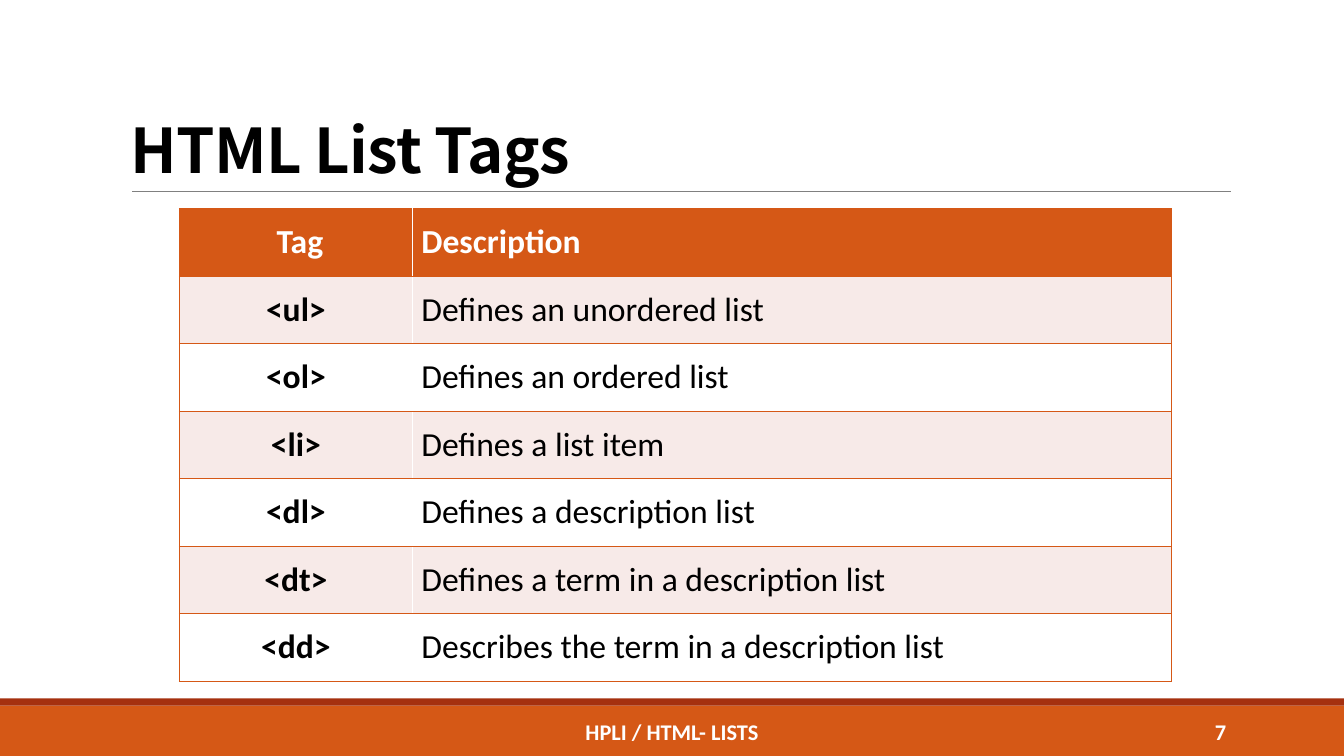
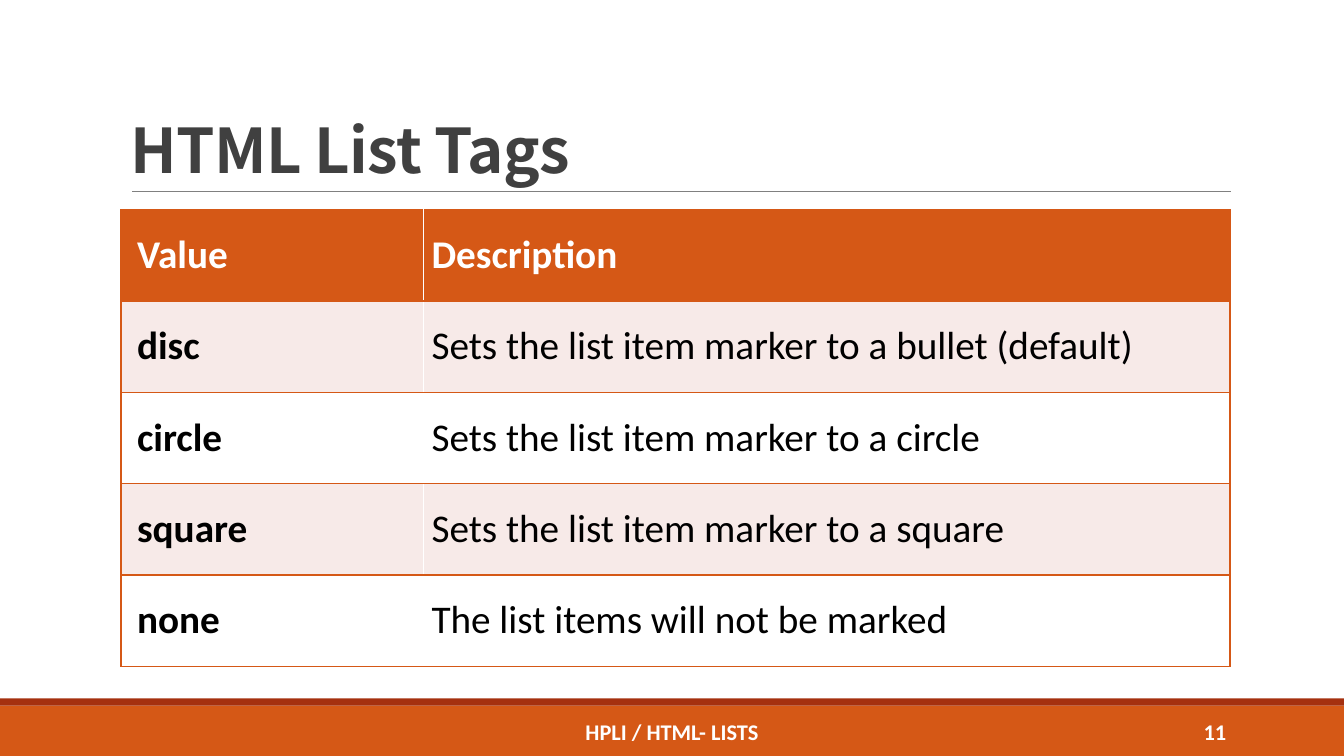
from lxml import etree
from pptx import Presentation
from pptx.dml.color import RGBColor
from pptx.enum.shapes import MSO_CONNECTOR, MSO_SHAPE
from pptx.enum.text import MSO_ANCHOR, PP_ALIGN
from pptx.oxml.ns import qn
from pptx.util import Inches, Pt

RECT, STRAIGHT = MSO_SHAPE.RECTANGLE, MSO_CONNECTOR.STRAIGHT
MIDDLE, BOTTOM = MSO_ANCHOR.MIDDLE, MSO_ANCHOR.BOTTOM
LEFT, CENTER, RIGHT = PP_ALIGN.LEFT, PP_ALIGN.CENTER, PP_ALIGN.RIGHT

ORANGE = RGBColor(0xD5, 0x58, 0x16)
RUST = RGBColor(0xA5, 0x30, 0x0F)
PINK = RGBColor(0xF7, 0xEA, 0xE8)
WHITE = RGBColor(0xFF, 0xFF, 0xFF)
BLACK = RGBColor(0, 0, 0)
DARK = RGBColor(0x40, 0x40, 0x40)
GRAY = RGBColor(0x80, 0x80, 0x80)
TITLE_FONT, BODY_FONT = "Noto Sans CJK SC", "Calibri"

SLIDES = [
    {
        "number": "7", "title_color": BLACK, "size": 24,
        "at": (1.78, 2.07), "cols": (2.31, 7.53), "row": 0.67,
        "align": CENTER, "pad": 0.09, "header_left": 0.17, "tag_pad": 0.01, "tag_left": 0.01,
        "rows": [
            ("Tag", "Description"),
            ("<ul>", "Defines an unordered list"),
            ("<ol>", "Defines an ordered list"),
            ("<li>", "Defines a list item"),
            ("<dl>", "Defines a description list"),
            ("<dt>", "Defines a term in a description list"),
            ("<dd>", "Describes the term in a description list"),
        ],
    },
    {
        "number": "11", "title_color": DARK, "size": 28,
        "at": (1.2, 2.08), "cols": (3, 8), "row": 0.906,
        "align": LEFT, "pad": 0.08, "header_left": 0.16, "tag_pad": 0.08, "tag_left": 0.16,
        "rows": [
            ("Value", "Description"),
            ("disc", "Sets the list item marker to a bullet (default)"),
            ("circle", "Sets the list item marker to a circle"),
            ("square", "Sets the list item marker to a square"),
            ("none", "The list items will not be marked"),
        ],
    },
]


def write(tf, text, font, size, color, bold=True, align=LEFT):
    tf.word_wrap = True
    p = tf.paragraphs[0]
    p.text = text
    p.alignment = align
    f = p.runs[0].font
    f.name, f.size, f.bold = font, Pt(size), bold
    f.color.rgb = color
    return p


def add_border(cell, side):
    ln = etree.SubElement(cell._tc.get_or_add_tcPr(), qn("a:ln" + side), w=str(Pt(1)))
    fill = etree.SubElement(ln, qn("a:solidFill"))
    etree.SubElement(fill, qn("a:srgbClr"), val=str(ORANGE))


prs = Presentation()
prs.slide_width, prs.slide_height = Inches(13.33), Inches(7.5)

for page in SLIDES:
    s = prs.slides.add_slide(prs.slide_layouts[6])

    # Footer bands
    for top, height, color in ((7, 0.5, ORANGE), (6.93, 0.07, RUST)):
        sp = s.shapes.add_shape(RECT, 0, Inches(top), prs.slide_width, Inches(height))
        sp.shadow.inherit = False
        sp.fill.solid()
        sp.fill.fore_color.rgb = color
        sp.line.fill.background()

    # Rule under the title
    rule = s.shapes.add_connector(STRAIGHT, Inches(1.31), Inches(1.9), Inches(12.21), Inches(1.9))
    rule.line.color.rgb = GRAY
    rule.line.width = Pt(0.5)
    etree.SubElement(rule._element.spPr, qn("a:effectLst"))

    # Title
    tf = s.shapes.add_textbox(Inches(1.2), Inches(0.31), Inches(11), Inches(1.59)).text_frame
    tf.vertical_anchor = BOTTOM
    p = write(tf, "HTML List Tags", TITLE_FONT, 44, page["title_color"])
    p.line_spacing = 0.85
    p.runs[0].font._element.set("spc", "-50")

    # Footer text and slide number
    for left, width, text, align in ((4.03, 5.27, "HPLI / HTML- LISTS", CENTER),
                                     (10.83, 1.43, page["number"], RIGHT)):
        tf = s.shapes.add_textbox(Inches(left), Inches(7.06), Inches(width), Inches(0.4)).text_frame
        tf.vertical_anchor = MIDDLE
        write(tf, text, BODY_FONT, 16, WHITE, align=align)

    # Table
    rows, cols = page["rows"], page["cols"]
    left, top = page["at"]
    table = s.shapes.add_table(len(rows), len(cols), Inches(left), Inches(top), Inches(sum(cols)),
                               Inches(page["row"] * len(rows))).table
    for c, width in enumerate(cols):
        table.columns[c].width = Inches(width)
    for r, row in enumerate(rows):
        table.rows[r].height = Inches(page["row"])
        for c, text in enumerate(row):
            cell = table.cell(r, c)
            header, first = r == 0, c == 0
            pad = page["tag_pad"] if first and not header else page["pad"]
            indent = pad
            if first:
                indent = page["header_left"] if header else page["tag_left"]
            cell.margin_left = Inches(indent)
            cell.margin_right = cell.margin_top = cell.margin_bottom = Inches(pad)
            cell.vertical_anchor = MIDDLE
            for side in ("L" if first else "R", "T", "B"):
                add_border(cell, side)
            cell.fill.solid()
            cell.fill.fore_color.rgb = ORANGE if header else PINK if r % 2 else WHITE
            write(cell.text_frame, text, BODY_FONT, page["size"], WHITE if header else BLACK,
                  bold=header or first, align=page["align"] if first else LEFT)

prs.save("out.pptx")
